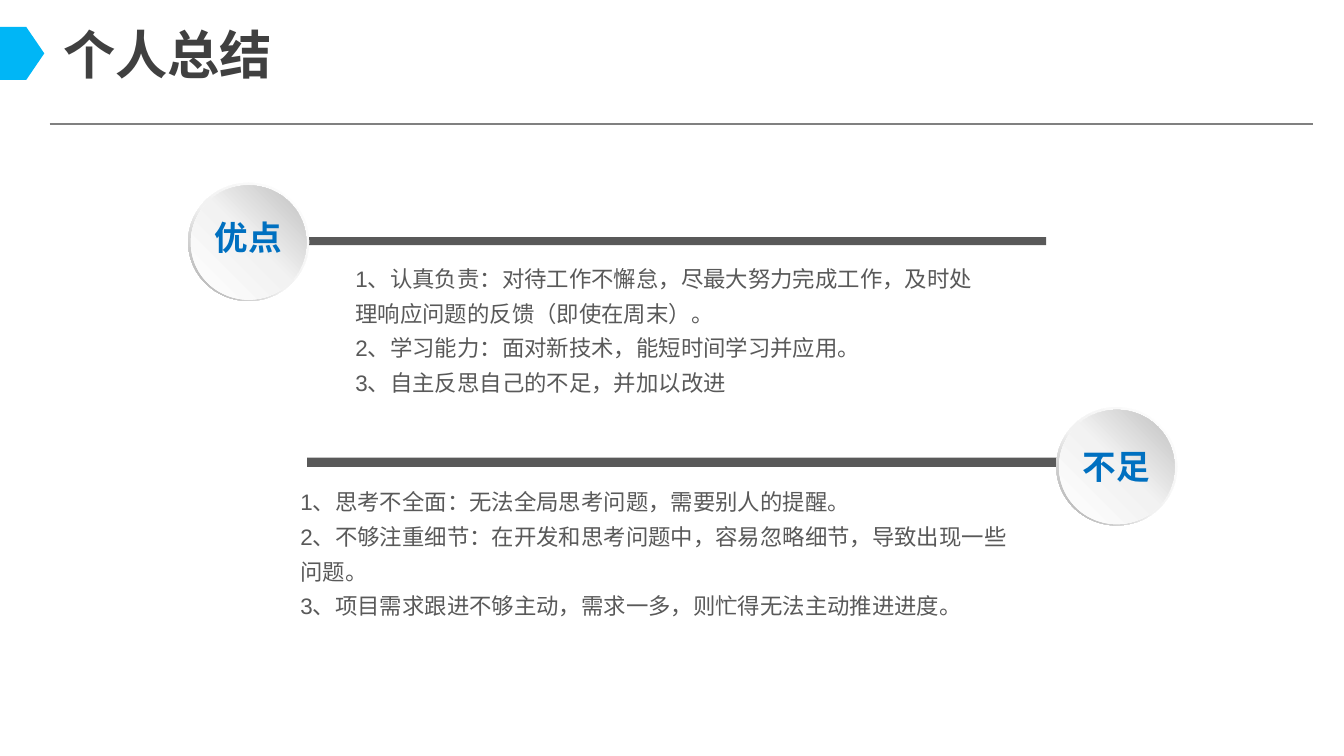
from copy import deepcopy

from lxml.etree import SubElement
from pptx import Presentation
from pptx.dml.color import RGBColor
from pptx.enum.shapes import MSO_CONNECTOR as Connector, MSO_SHAPE as Shape
from pptx.enum.text import MSO_ANCHOR as Anchor, MSO_AUTO_SIZE as AutoSize, PP_ALIGN as Align
from pptx.oxml.ns import qn
from pptx.util import Inches, Pt

CELL = Inches(0.1)
COLUMNS = 100
ROWS = COLUMNS * 9 / 16
COLORS = {
    "title": "404040", "accent": "00B6F6", "rule": "808080", "gray": "595959",
    "label": "0070C0", "white": "FFFFFF", "pale": "F2F2F2", "rim": "A6A6A6", "disc": "BFBFBF",
}
CJK_FONT = "Noto Sans CJK SC"
TITLE_FONT = {"name": CJK_FONT, "size": Pt(28), "bold": True}
LABEL_FONT = {"name": "Arial", "size": Pt(18), "bold": True}
BODY_FONT = {"name": "Arial", "size": Pt(12), "bold": False}

SECTIONS = [
    {
        "box": (14, 13.6), "badge": (0, 0), "label": (1.25, 2.15, 6.5, 3.8),
        "bar": (8.85, 4.05, 55, 0.6), "body": (11.85, 5.2, 48.4, 11.1),
        "name": "优点",
        "points": [
            "1、认真负责：对待工作不懈怠，尽最大努力完成工作，及时处理响应问题的反馈（即使在周末）。",
            "2、学习能力：面对新技术，能短时间学习并应用。",
            "3、自主反思自己的不足，并加以改进",
        ],
    },
    {
        "box": (21.75, 30.3), "badge": (56.85, 0), "label": (1.25, 2.5, 6.6, 3.8),
        "bar": (1.1, 3.75, 56.1, 0.7), "body": (0, 5.1, 54.2, 11.1),
        "name": "不足",
        "points": [
            "1、思考不全面：无法全局思考问题，需要别人的提醒。",
            "2、不够注重细节：在开发和思考问题中，容易忽略细节，导致出现一些问题。",
            "3、项目需求跟进不够主动，需求一多，则忙得无法主动推进进度。",
        ],
    },
]


def cells(*counts):
    """Turn grid cells into lengths."""
    return [round(count * CELL) for count in counts]


def inside(origin, part):
    """Shift a part by the origin of its box."""
    return (origin[0] + part[0], origin[1] + part[1], *part[2:])


def color(name):
    """Look up a colour."""
    return RGBColor.from_string(COLORS[name])


def apply(target, values):
    """Set each format value on the target."""
    for name, value in values.items():
        setattr(target, name, value)


def write(frame, lines, font, tint, margins, spacing=None, wrap=True):
    """Fill a text frame with one paragraph per line."""
    across, down = (Inches(margin) for margin in margins)
    apply(frame, {
        "word_wrap": wrap, "auto_size": AutoSize.NONE, "vertical_anchor": Anchor.TOP,
        "margin_left": across, "margin_right": across, "margin_top": down, "margin_bottom": down,
    })
    for index, line in enumerate(lines):
        para = frame.add_paragraph() if index else frame.paragraphs[0]
        apply(para, {"alignment": Align.LEFT, "line_spacing": spacing})
        span = para.add_run()
        span.text = line
        apply(span.font, font)
        span.font.color.rgb = color(tint)
        SubElement(span.font._element, qn("a:ea"), typeface=CJK_FONT)


def add_plain(page, kind, box, tint=None):
    """Add a shape without outline or shadow."""
    shape = page.shapes.add_shape(kind, *cells(*box))
    shape.shadow.inherit = False
    shape.line.fill.background()
    if tint:
        shape.fill.solid()
        shape.fill.fore_color.rgb = color(tint)
    return shape


def shade(shape, stops, angle):
    """Give a shape a linear gradient of three stops."""
    shape.fill.gradient()
    shape.fill.gradient_angle = angle
    stop_list = next(shape._element.iter(qn("a:gsLst")))
    stop_list.append(deepcopy(stop_list[-1]))
    for stop, (position, tint) in zip(shape.fill.gradient_stops, stops):
        stop.position = position
        stop.color.rgb = color(tint)


def add_header(page, box):
    """Place the title, its marker and the rule below."""
    marker = add_plain(page, Shape.CHEVRON, inside(box, (-2, 2, 5.3, 3.95)), "accent")
    marker.adjustments[0] = 0.34
    title = page.shapes.title
    spot = cells(*inside(box, (3.7, 1.15, 17.7, 5.7)))
    apply(title, dict(zip(("left", "top", "width", "height"), spot)))
    write(title.text_frame, ["个人总结"], TITLE_FONT, "title", (0.1, 0.05), 1, wrap=False)
    start, end = inside(box, (3.7, 9.23)), inside(box, (97.7, 9.23))
    rule = page.shapes.add_connector(Connector.STRAIGHT, *cells(*start, *end))
    rule.line.color.rgb = color("rule")
    rule.line.width = Pt(0.75)
    SubElement(rule._element.spPr, qn("a:effectLst"))


def add_badge(page, box, label_box, name):
    """Place a round badge with its label."""
    rim = add_plain(page, Shape.DONUT, inside(box, (0, 0, 9, 8.8)))
    rim.adjustments[0] = 0.05
    shade(rim, [(0, "white"), (0.55, "pale"), (1, "rim")], 225)
    disc = add_plain(page, Shape.OVAL, inside(box, (0.2, 0.2, 8.6, 8.5)))
    shade(disc, [(0, "white"), (0.51, "pale"), (1, "disc")], 45)
    label = page.shapes.add_textbox(*cells(*inside(box, label_box)))
    write(label.text_frame, [name], LABEL_FONT, "label", (0.07, 0.04))


def add_section(page, section):
    """Place the bar, badge and points of one section."""
    box = section["box"]
    add_plain(page, Shape.RECTANGLE, inside(box, section["bar"]), "gray")
    add_badge(page, inside(box, section["badge"]), section["label"], section["name"])
    body = page.shapes.add_textbox(*cells(*inside(box, section["body"])))
    write(body.text_frame, section["points"], BODY_FONT, "gray", (0.06, 0.03), 1.3)


def main():
    """Build and save the deck."""
    deck = Presentation()
    deck.slide_width, deck.slide_height = cells(COLUMNS, ROWS)
    page = deck.slides.add_slide(deck.slide_layouts[5])
    add_header(page, (0, 0))
    for section in SECTIONS:
        add_section(page, section)
    deck.save("out.pptx")


if __name__ == "__main__":
    main()
